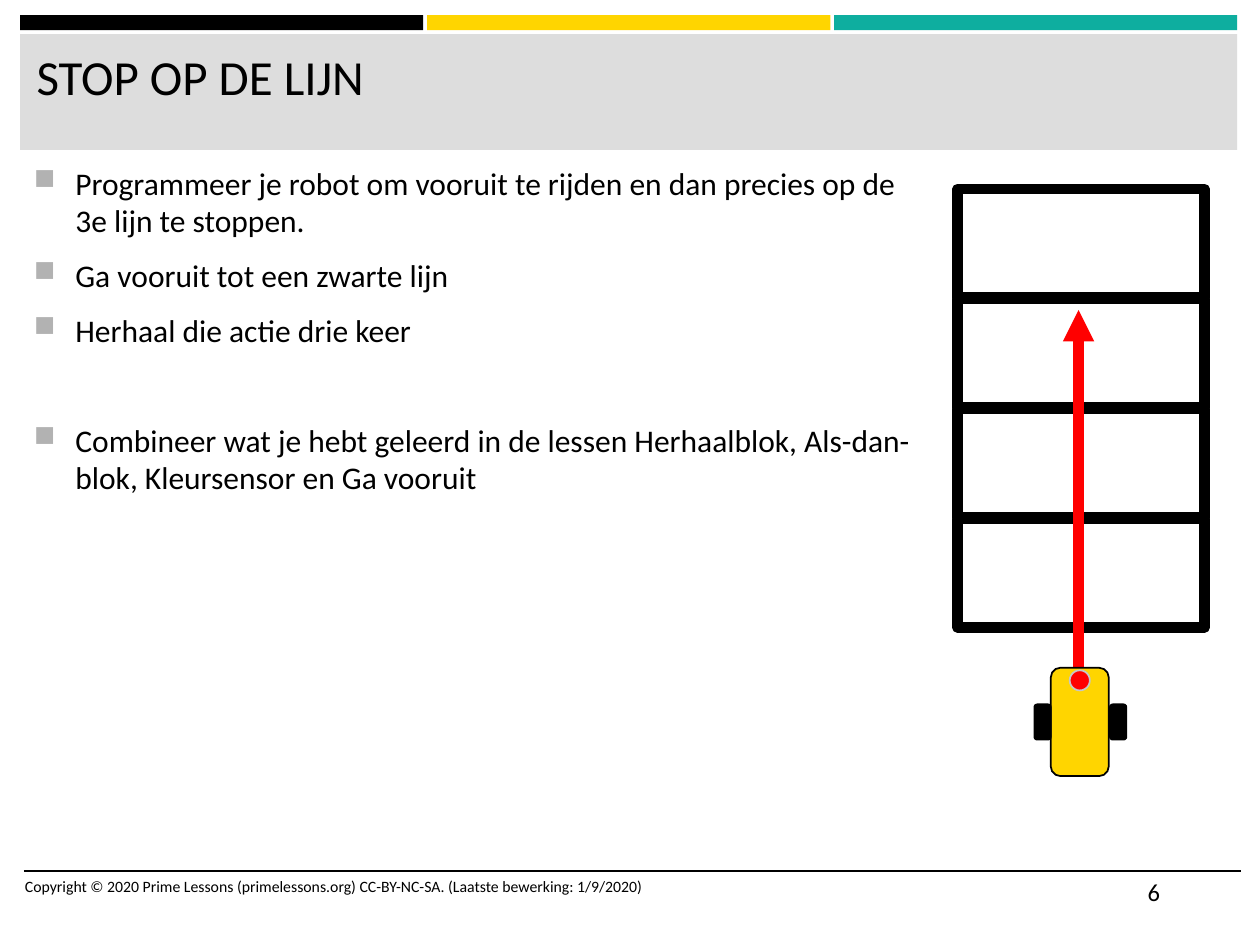
import lxml.etree
import pptx
import pptx.dml.color
import pptx.enum.shapes
import pptx.enum.text
import pptx.oxml.ns
import pptx.util

RGBColor = pptx.dml.color.RGBColor
Inches = pptx.util.Inches
Pt = pptx.util.Pt
SHAPE = pptx.enum.shapes.MSO_SHAPE
qn = pptx.oxml.ns.qn

BLACK = RGBColor(0x00, 0x00, 0x00)
YELLOW = RGBColor(0xFF, 0xD5, 0x00)
TEAL = RGBColor(0x0E, 0xAE, 0x9F)
BAND_GREY = RGBColor(0xDD, 0xDD, 0xDD)
BULLET_GREY = RGBColor(0xB2, 0xB2, 0xB2)
RIM_GREY = RGBColor(0xC7, 0xC7, 0xC7)
RED = RGBColor(0xFF, 0x00, 0x00)

FONT = "Calibri"
TITLE = "STOP OP DE LIJN"
STEPS = [  # text, space before in points
    ("Programmeer je robot om vooruit te rijden en dan precies op de 3e lijn te stoppen.", 0),
    ("Ga vooruit tot een zwarte lijn", 3.6),
    ("Herhaal die actie drie keer", 3.6),
    ("Combineer wat je hebt geleerd in de lessen Herhaalblok, Als-dan-blok, "
     "Kleursensor en Ga vooruit", 35.2),
]
COPYRIGHT = ("Copyright © 2020 Prime Lessons (primelessons.org) CC-BY-NC-SA. "
             "(Laatste bewerking: 1/9/2020)")
PAGE_NUMBER = "6"

STRIPES = [BLACK, YELLOW, TEAL]
STRIPE_LEFT, STRIPE_PITCH = 0.16, 3.23
FIELD_COUNT, FIELD_TOP, FIELD_PITCH = 4, 1.5, 2.62 / 3
ROBOT = [  # shape, place, fill, line
    (SHAPE.ROUNDED_RECTANGLE, (8.34, 5.3, 0.46, 0.86), YELLOW, BLACK),
    (SHAPE.ROUNDED_RECTANGLE, (8.81, 5.59, 0.13, 0.28), BLACK, BLACK),
    (SHAPE.ROUNDED_RECTANGLE, (8.21, 5.59, 0.13, 0.28), BLACK, BLACK),
    (SHAPE.OVAL, (8.49, 5.32, 0.16, 0.16), RED, RIM_GREY),
]


def add_figure(shapes, kind, place, fill=None, line=None, width=1):
    figure = shapes.add_shape(kind, *map(Inches, place))
    figure.shadow.inherit = False
    if fill is None:
        figure.fill.background()
    else:
        figure.fill.solid()
        figure.fill.fore_color.rgb = fill
    if line is None:
        figure.line.fill.background()
    else:
        figure.line.color.rgb = line
        figure.line.width = Pt(width)
    return figure


def add_line(shapes, start, end, color, width, arrow=False):
    line = shapes.add_connector(pptx.enum.shapes.MSO_CONNECTOR.STRAIGHT,
                                *map(Inches, start + end))
    line.line.color.rgb = color
    line.line.width = Pt(width)
    if arrow:
        lxml.etree.SubElement(line.line._get_or_add_ln(), qn("a:tailEnd"), type="triangle")
    lxml.etree.SubElement(line._element.spPr, qn("a:effectLst"))


def add_bullet(paragraph):
    properties = paragraph._p.get_or_add_pPr()
    properties.set("marL", str(Inches(0.33)))
    properties.set("indent", str(-Inches(0.33)))
    color = lxml.etree.SubElement(properties, qn("a:buClr"))
    lxml.etree.SubElement(color, qn("a:srgbClr"), val=str(BULLET_GREY))
    lxml.etree.SubElement(properties, qn("a:buSzPct"), val="92000")
    lxml.etree.SubElement(properties, qn("a:buChar"), char="■")


def write(box, paragraphs, size, bullets=False, after=0):
    """Fill a box with (text, space before) pairs, set from its top left."""
    frame = box.text_frame
    frame.word_wrap = True
    frame.vertical_anchor = pptx.enum.text.MSO_ANCHOR.TOP
    for index, (text, before) in enumerate(paragraphs):
        paragraph = frame.add_paragraph() if index else frame.paragraphs[0]
        if bullets:
            add_bullet(paragraph)
        paragraph.alignment = pptx.enum.text.PP_ALIGN.LEFT
        paragraph.space_before = Pt(before)
        paragraph.space_after = Pt(after)
        run = paragraph.add_run()
        run.text = text
        run.font.name = FONT
        run.font.size = Pt(size)
        run.font.color.rgb = BLACK


def add_text(shapes, place, paragraphs, size, **layout):
    write(shapes.add_textbox(*map(Inches, place)), paragraphs, size, **layout)


def main():
    deck = pptx.Presentation()
    deck.slide_width, deck.slide_height = Inches(10), Inches(7.5)
    slide = deck.slides.add_slide(deck.slide_layouts[5])
    shapes = slide.shapes

    for column, color in enumerate(STRIPES):
        left = STRIPE_LEFT + column * STRIPE_PITCH
        add_figure(shapes, SHAPE.RECTANGLE, (left, 0.12, 3.2, 0.12), color)
    band = add_figure(shapes, SHAPE.RECTANGLE, (STRIPE_LEFT, 0.27, 9.66, 0.92), BAND_GREY)
    add_line(shapes, (0.19, 6.91), (9.85, 6.91), BLACK, 1)

    title = shapes.title
    band._element.addnext(title._element)  # keeps the title in front of its band
    title.left, title.top, title.width, title.height = map(Inches, (0.19, 0.32, 9.57, 0.82))
    write(title, [(TITLE, 0)], 28)

    add_text(shapes, (0.17, 1.25, 7.18, 5.56), STEPS, 18, bullets=True, after=6)
    add_text(shapes, (0.1, 6.91, 5.33, 0.4), [(COPYRIGHT, 0)], 9)
    add_text(shapes, (9.01, 6.91, 0.84, 0.4), [(PAGE_NUMBER, 0)], 14)

    for row in range(FIELD_COUNT):
        top = FIELD_TOP + row * FIELD_PITCH
        field = add_figure(shapes, SHAPE.RECTANGLE, (7.6, top, 1.96, 0.86), line=BLACK, width=6)
        lxml.etree.SubElement(field.line._get_or_add_ln(), qn("a:round"))
    add_line(shapes, (8.56, 5.78), (8.56, 2.46), RED, 6, arrow=True)

    robot = shapes.add_group_shape()
    for kind, place, fill, line in ROBOT:
        add_figure(robot.shapes, kind, place, fill, line)

    deck.save("out.pptx")


if __name__ == "__main__":
    main()
